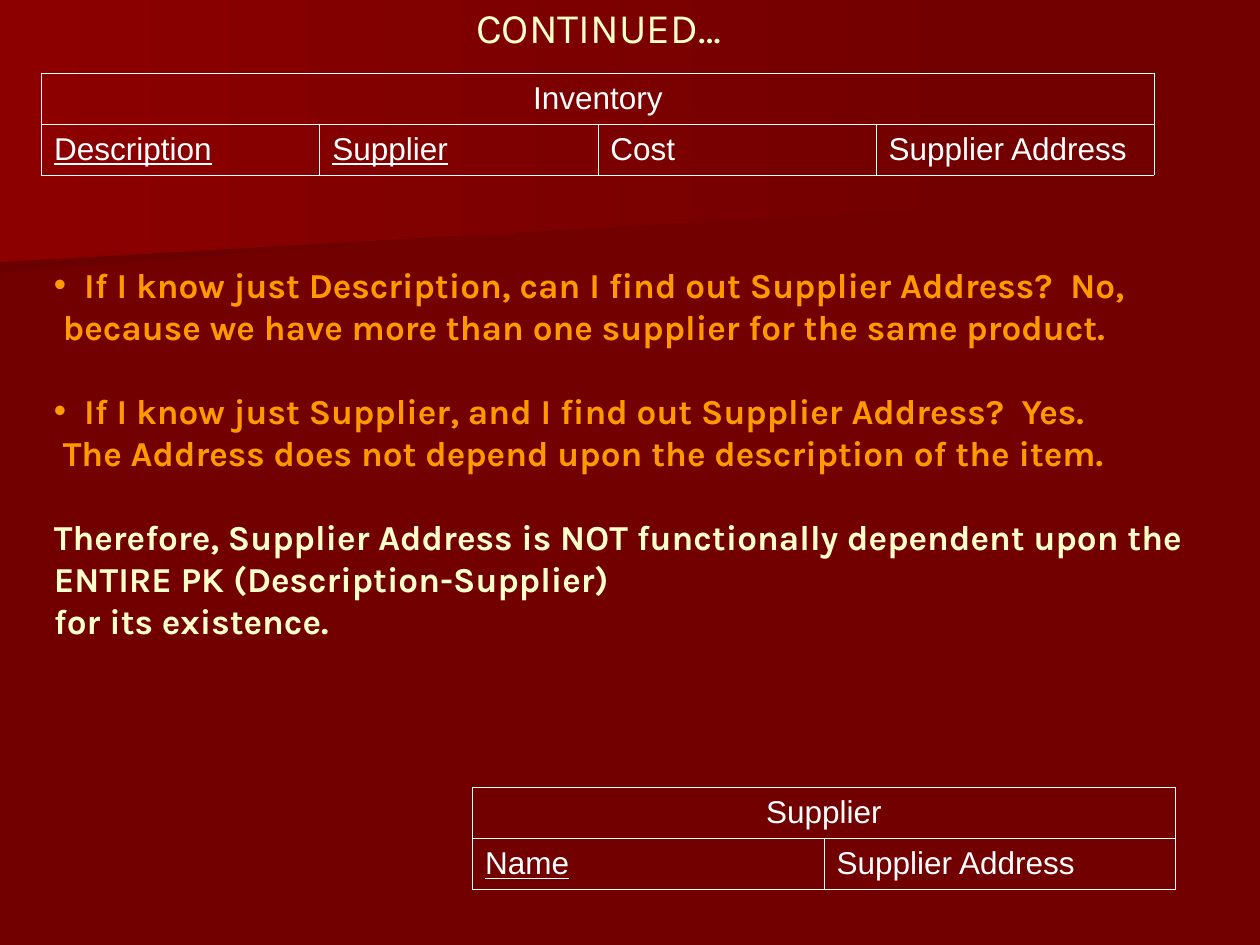
from lxml.etree import SubElement
from pptx import Presentation
from pptx.dml.color import RGBColor
from pptx.enum.text import MSO_ANCHOR as Anchor, PP_ALIGN as Align
from pptx.oxml.ns import qn
from pptx.util import Inches, Pt

DARK, CREAM, ORANGE, WHITE = "720000", "FFFFCC", "FF9900", "FFFFFF"
BULLET_INDENT = Inches(0.24)


def rgb(color):
    return RGBColor.from_string(color)


def add_run(p, text, color, **fmt):
    r = p.add_run()
    r.text = text
    r.font.color.rgb = rgb(color)
    for name, value in fmt.items():
        setattr(r.font, name, value)


def add_bullet(p, color):
    pPr = p._p.get_or_add_pPr()
    pPr.set("marL", str(BULLET_INDENT))
    pPr.set("indent", str(-BULLET_INDENT))
    SubElement(SubElement(pPr, qn("a:buClr")), qn("a:srgbClr"), val=color)
    SubElement(pPr, qn("a:buFont"), typeface="Arial")
    SubElement(pPr, qn("a:buChar"), char="•")


def add_band(s, points, left_color, right_color):
    """Background panel with a left-to-right gradient."""
    start, *rest = [(Inches(x), Inches(y)) for x, y in points]
    builder = s.shapes.build_freeform(*start)
    builder.add_line_segments(rest, close=True)
    sp = builder.convert_to_shape()
    sp.shadow.inherit = False
    sp.line.fill.background()
    sp.fill.gradient()
    sp.fill.gradient_angle = 0
    for stop, color in zip(sp.fill.gradient_stops, (left_color, right_color)):
        stop.color.rgb = rgb(color)


def add_text(s, box, anchor):
    tf = s.shapes.add_textbox(*map(Inches, box)).text_frame
    tf.word_wrap = True
    tf.vertical_anchor = anchor
    return tf


def add_borders(cell, color, width):
    tcPr = cell._tc.get_or_add_tcPr()
    for i, side in enumerate(("lnL", "lnR", "lnT", "lnB")):
        ln = SubElement(tcPr, qn(f"a:{side}"), w=str(width))
        SubElement(SubElement(ln, qn("a:solidFill")), qn("a:srgbClr"), val=color)
        tcPr.insert(i, ln)


def add_relation(s, left, top, width, name, fields, keys):
    """Table with a merged name row above its fields; keys are underlined."""
    frame = s.shapes.add_table(2, len(fields), Inches(left), Inches(top),
                               Inches(width), Inches(0.81))
    table = frame.table
    table.first_row = table.horz_banding = False
    for cell in table.iter_cells():
        cell.fill.background()
        cell.vertical_anchor = Anchor.MIDDLE
        add_borders(cell, WHITE, Pt(0.45))
    fmt = {"size": Pt(18), "name": "Arial"}
    title = table.cell(0, 0)
    title.merge(table.cell(0, len(fields) - 1))
    p = title.text_frame.paragraphs[0]
    p.alignment = Align.CENTER
    add_run(p, name, WHITE, **fmt)
    for col, field in enumerate(fields):
        p = table.cell(1, col).text_frame.paragraphs[0]
        add_run(p, field, WHITE, underline=field in keys, **fmt)


def add_argument(s):
    # text, colour, bulleted, starts a new group
    lines = [
        ("If I know just Description, can I find out Supplier Address?  No,", ORANGE, True, False),
        (" because we have more than one supplier for the same product.", ORANGE, False, False),
        ("If I know just Supplier, and I find out Supplier Address?  Yes.", ORANGE, True, True),
        (" The Address does not depend upon the description of the item.", ORANGE, False, False),
        ("Therefore, Supplier Address is NOT functionally dependent upon the "
         "ENTIRE PK (Description-Supplier)", CREAM, False, True),
        ("for its existence.", CREAM, False, False),
    ]
    tf = add_text(s, (0.33, 2.04, 9.25, 3.44), Anchor.TOP)
    for i, (text, color, bulleted, new_group) in enumerate(lines):
        p = tf.add_paragraph() if i else tf.paragraphs[0]
        p.space_before = Pt(24 if new_group else 0)
        if bulleted:
            add_bullet(p, color)
        add_run(p, text, color, size=Pt(20), name="Karla", bold=True)


def main():
    prs = Presentation()
    prs.slide_width, prs.slide_height = Inches(10), Inches(7.5)
    s = prs.slides.add_slide(prs.slide_layouts[6])

    # Background
    s.background.fill.solid()
    s.background.fill.fore_color.rgb = rgb(DARK)
    add_band(s, [(7.78, 1.53), (0, 2.17), (0, 1.01), (7.79, 1.01), (7.78, 1.28)], "6A0000", DARK)
    add_band(s, [(7.92, 1.62), (0, 2.08), (0, 0), (7.92, 0)], "8C0000", DARK)

    # Title
    p = add_text(s, (0.25, 0, 9, 0.43), Anchor.MIDDLE).paragraphs[0]
    p.alignment = Align.CENTER
    add_run(p, "CONTINUED…", CREAM, size=Pt(24), name="Karla")

    # Relations and the reasoning between them
    add_relation(s, 3.75, 6.25, 5.58, "Supplier", ["Name", "Supplier Address"], {"Name"})
    add_argument(s)
    add_relation(s, 0.33, 0.58, 8.83, "Inventory",
                 ["Description", "Supplier", "Cost", "Supplier Address"],
                 {"Description", "Supplier"})

    prs.save("out.pptx")


if __name__ == "__main__":
    main()
